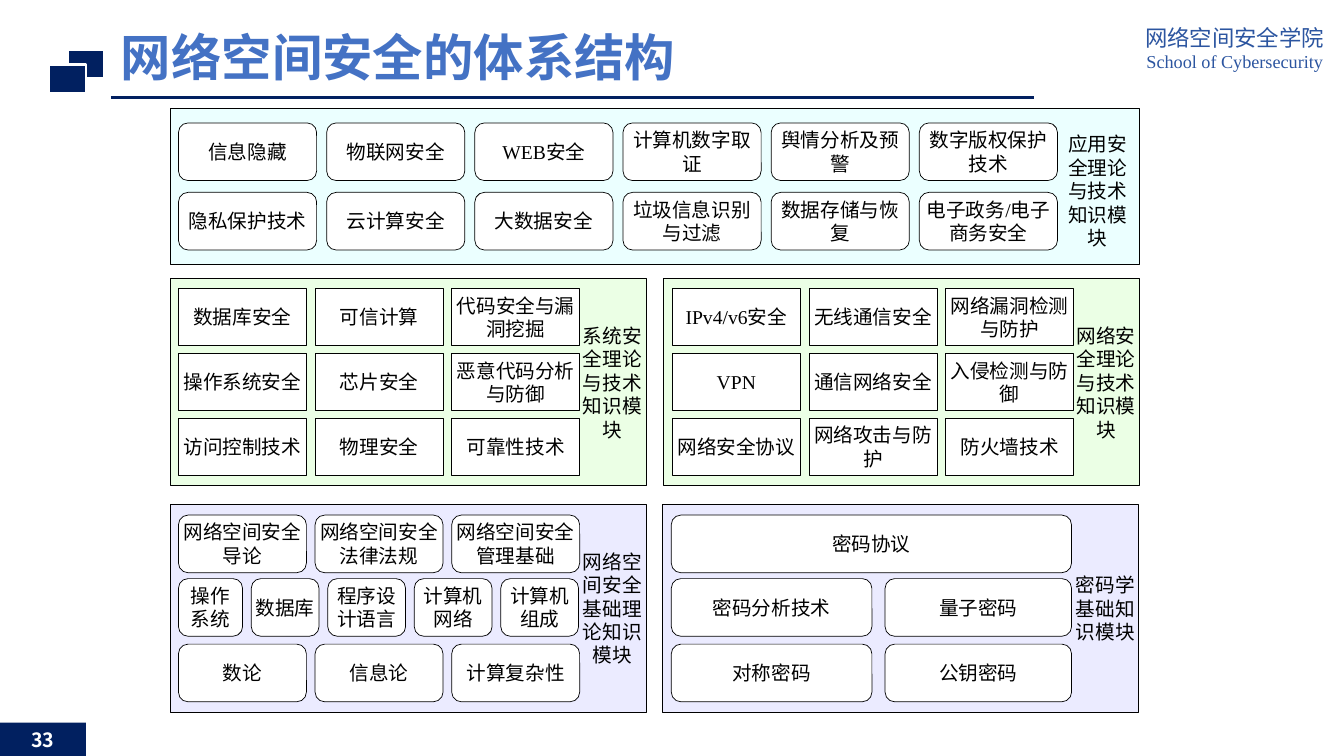
from dataclasses import dataclass

from lxml.etree import SubElement
from pptx import Presentation
from pptx.dml.color import RGBColor
from pptx.enum.shapes import MSO_CONNECTOR, MSO_SHAPE
from pptx.enum.text import MSO_ANCHOR, MSO_AUTO_SIZE, PP_ALIGN
from pptx.oxml.ns import qn
from pptx.util import Pt


@dataclass(frozen=True)
class Theme:
    navy: str = "012060"
    title: str = "4472C4"
    school: str = "2C55A0"
    black: str = "000000"
    white: str = "FFFFFF"
    cyan: str = "EBFFFF"
    green: str = "EBFFE5"
    lilac: str = "EBEBFF"
    latin: str = "Times New Roman"
    chinese: str = "Noto Sans CJK SC"
    title_size: float = 36
    school_size: float = 16
    school_english_size: float = 13
    body_size: float = 14
    body_leading: float = 16.75


THEME = Theme()

TITLE = "网络空间安全的体系结构"
# text, size, line spacing
SCHOOL = [
    ("网络空间安全学院", THEME.school_size, 20),
    ("School of Cybersecurity", THEME.school_english_size, 15),
]
PAGE_NUMBER = "33"

ROUND, SQUARE = MSO_SHAPE.ROUNDED_RECTANGLE, MSO_SHAPE.RECTANGLE
CELL_HEIGHT = 41.2
APPLIED_WIDTHS = [98.7] * 6
THIRDS = [91.4] * 3
HALVES = [143.3, 133.2]
MIDDLE_TOPS = [205.8, 252.2, 298.6]
BOTTOM_TOPS = [367.9, 413.3, 460.1]

# Each row of a module: cell widths, cell texts
MODULES = [
    dict(
        name="应用安全理论与技术知识模块",
        box=(121.7, 77.7, 691.9, 110.9), label=(757.4, 87.8, 53.3, 97.2),
        fill=THEME.cyan, cell=ROUND, left=127.5, gap=7.14, tops=[87.8, 137.4],
        rows=[
            (APPLIED_WIDTHS, ["信息隐藏", "物联网安全", "WEB安全", "计算机数字取证",
                              "舆情分析及预警", "数字版权保护技术"]),
            (APPLIED_WIDTHS, ["隐私保护技术", "云计算安全", "大数据安全", "垃圾信息识别与过滤",
                              "数据存储与恢复", "电子政务/电子商务安全"]),
        ],
    ),
    dict(
        name="系统安全理论与技术知识模块",
        box=(121.7, 198.7, 339.8, 148.3), label=(415.4, 207.4, 43.9, 131.8),
        fill=THEME.green, cell=SQUARE, left=127.5, gap=6.2, tops=MIDDLE_TOPS,
        rows=[
            (THIRDS, ["数据库安全", "可信计算", "代码安全与漏洞挖掘"]),
            (THIRDS, ["操作系统安全", "芯片安全", "恶意代码分析与防御"]),
            (THIRDS, ["访问控制技术", "物理安全", "可靠性技术"]),
        ],
    ),
    dict(
        name="网络安全理论与技术知识模块",
        box=(473.8, 198.7, 339.8, 148.3), label=(768.2, 207.4, 43.9, 131.8),
        fill=THEME.green, cell=SQUARE, left=480.3, gap=6.2, tops=MIDDLE_TOPS,
        rows=[
            (THIRDS, ["IPv4/v6安全", "无线通信安全", "网络漏洞检测与防护"]),
            (THIRDS, ["VPN", "通信网络安全", "入侵检测与防御"]),
            (THIRDS, ["网络安全协议", "网络攻击与防护", "防火墙技术"]),
        ],
    ),
    dict(
        name="网络空间安全基础理论知识模块",
        box=(121.7, 360.6, 339.8, 148.3), label=(415.4, 368.6, 43.9, 131.8),
        fill=THEME.lilac, cell=ROUND, left=127.5, gap=6.2, tops=BOTTOM_TOPS,
        rows=[
            (THIRDS, ["网络空间安全导论", "网络空间安全法律法规", "网络空间安全管理基础"]),
            ([45.8, 48.4, 55.6, 55.6, 55.6],
             ["操作系统", "数据库", "程序设计语言", "计算机网络", "计算机组成"]),
            (THIRDS, ["数论", "信息论", "计算复杂性"]),
        ],
    ),
    dict(
        name="密码学基础知识模块",
        box=(473.5, 360.6, 340, 148.3), label=(767.5, 368.6, 43.9, 131.8),
        fill=THEME.lilac, cell=ROUND, left=479.5, gap=9.4, tops=BOTTOM_TOPS,
        rows=[
            ([285.9], ["密码协议"]),
            (HALVES, ["密码分析技术", "量子密码"]),
            (HALVES, ["对称密码", "公钥密码"]),
        ],
    ),
]


def points(values):
    return [Pt(value) for value in values]


def color(code):
    return RGBColor.from_string(code)


def add_run(paragraph, text, size, code, latin=THEME.latin, bold=False):
    run = paragraph.add_run()
    run.text = text
    run.font.size = Pt(size)
    run.font.bold = bold
    run.font.color.rgb = color(code)
    run.font.name = latin
    SubElement(run.font._element, qn("a:ea"), typeface=THEME.chinese)


def add_box(slide, kind, box, fill, line=THEME.black, line_width=0.5):
    shape = slide.shapes.add_shape(kind, *points(box))
    shape.shadow.inherit = False
    shape.fill.solid()
    shape.fill.fore_color.rgb = color(fill)
    shape.line.color.rgb = color(line)
    shape.line.width = Pt(line_width)
    return shape


def center_text(shape, text, code=THEME.black, latin=THEME.latin, bold=False):
    """Write one paragraph in the middle of a shape, without margins."""
    frame = shape.text_frame
    frame.word_wrap = True
    frame.vertical_anchor = MSO_ANCHOR.MIDDLE
    frame.margin_left = frame.margin_right = frame.margin_top = frame.margin_bottom = 0
    paragraph = frame.paragraphs[0]
    paragraph.alignment = PP_ALIGN.CENTER
    paragraph.line_spacing = Pt(THEME.body_leading)
    add_run(paragraph, text, THEME.body_size, code, latin, bold)


def add_title(slide):
    title = slide.shapes.title
    title.left, title.top, title.width, title.height = points((79.2, 20.2, 659.5, 42.5))
    frame = title.text_frame
    frame.auto_size = MSO_AUTO_SIZE.NONE
    frame.vertical_anchor = MSO_ANCHOR.TOP
    paragraph = frame.paragraphs[0]
    paragraph.alignment = PP_ALIGN.LEFT
    paragraph.line_spacing = 0.9
    add_run(paragraph, TITLE, THEME.title_size, THEME.title, THEME.chinese, bold=True)


def add_header(slide):
    rule = slide.shapes.add_connector(
        MSO_CONNECTOR.STRAIGHT, *points((79.2, 69.8, 738.7, 69.8)))
    rule.line.color.rgb = color(THEME.navy)
    rule.line.width = Pt(2.25)
    SubElement(rule._element.spPr, qn("a:effectLst"))
    for left, top in [(48.2, 35.6), (35.3, 46.1)]:
        add_box(slide, SQUARE, (left, top, 26, 20.5), THEME.navy, THEME.white, 1.5)

    school = slide.shapes.add_textbox(*points((804.2, 13, 155.5, 43.9)))
    frame = school.text_frame
    frame.word_wrap = True
    for index, (text, size, leading) in enumerate(SCHOOL):
        paragraph = frame.add_paragraph() if index else frame.paragraphs[0]
        paragraph.alignment = PP_ALIGN.CENTER
        paragraph.line_spacing = Pt(leading)
        add_run(paragraph, text, size, THEME.school)


def add_module(slide, module):
    add_box(slide, SQUARE, module["box"], module["fill"])
    for top, (widths, texts) in zip(module["tops"], module["rows"]):
        left = module["left"]
        for width, text in zip(widths, texts):
            cell = add_box(slide, module["cell"], (left, top, width, CELL_HEIGHT), THEME.white)
            center_text(cell, text)
            left += width + module["gap"]
    label = slide.shapes.add_textbox(*points(module["label"]))
    center_text(label, module["name"])


def main():
    presentation = Presentation()
    presentation.slide_width, presentation.slide_height = Pt(960), Pt(540)
    slide = presentation.slides.add_slide(presentation.slide_layouts[5])
    add_header(slide)
    add_title(slide)
    for module in MODULES:
        add_module(slide, module)
    page = add_box(slide, SQUARE, (0, 516.2, 61.4, 23.8), THEME.navy)
    page.line.fill.background()
    center_text(page, PAGE_NUMBER, THEME.white, THEME.chinese, bold=True)
    presentation.save("out.pptx")


if __name__ == "__main__":
    main()
